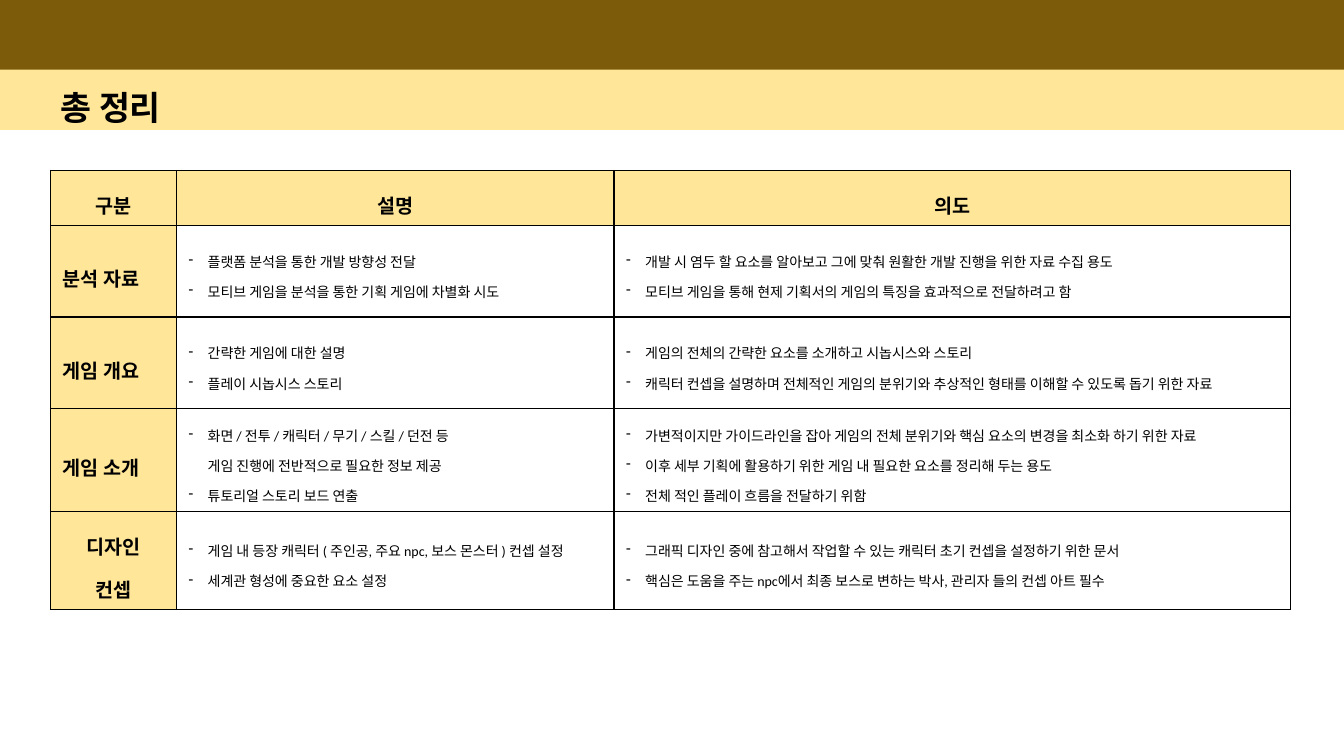
from copy import deepcopy

from pptx import Presentation
from pptx.dml.color import RGBColor
from pptx.enum.shapes import MSO_SHAPE
from pptx.enum.text import MSO_ANCHOR, MSO_AUTO_SIZE, PP_ALIGN
from pptx.oxml import parse_xml
from pptx.oxml.ns import nsdecls, qn
from pptx.util import Inches, Pt

BROWN = RGBColor(0x7C, 0x5B, 0x0A)
CREAM = RGBColor(0xFF, 0xE6, 0x99)
WHITE = RGBColor(0xFF, 0xFF, 0xFF)
BLACK = RGBColor(0x00, 0x00, 0x00)

HEADERS = ["구분", "설명", "의도"]
ROWS = [
    ("분석 자료",
     ["플랫폼 분석을 통한 개발 방향성 전달",
      "모티브 게임을 분석을 통한 기획 게임에 차별화 시도"],
     ["개발 시 염두 할 요소를 알아보고 그에 맞춰 원활한 개발 진행을 위한 자료 수집 용도",
      "모티브 게임을 통해 현제 기획서의 게임의 특징을 효과적으로 전달하려고 함"]),
    ("게임 개요",
     ["간략한 게임에 대한 설명",
      "플레이 시놉시스 스토리"],
     ["게임의 전체의 간략한 요소를 소개하고 시놉시스와 스토리",
      "캐릭터 컨셉을 설명하며 전체적인 게임의 분위기와 추상적인 형태를 이해할 수 있도록 돕기 위한 자료"]),
    ("게임 소개",
     ["화면 / 전투 / 캐릭터 / 무기 / 스킬 / 던전 등\n게임 진행에 전반적으로 필요한 정보 제공",
      "튜토리얼 스토리 보드 연출"],
     ["가변적이지만 가이드라인을 잡아 게임의 전체 분위기와 핵심 요소의 변경을 최소화 하기 위한 자료",
      "이후 세부 기획에 활용하기 위한 게임 내 필요한 요소를 정리해 두는 용도",
      "전체 적인 플레이 흐름을 전달하기 위함"]),
    ("디자인\n컨셉",
     ["게임 내 등장 캐릭터 ( 주인공, 주요 npc, 보스 몬스터 ) 컨셉 설정",
      "세계관 형성에 중요한 요소 설정"],
     ["그래픽 디자인 중에 참고해서 작업할 수 있는 캐릭터 초기 컨셉을 설정하기 위한 문서",
      "핵심은 도움을 주는 npc에서 최종 보스로 변하는 박사, 관리자 들의 컨셉 아트 필수"]),
]


def write(p, text, size, bold, align=PP_ALIGN.LEFT):
    p.text = text
    p.alignment = align
    p.line_spacing = 1.5
    values = {"name": "Calibri", "size": Pt(size), "bold": bold}
    for r in p.runs:
        for name, value in values.items():
            setattr(r.font, name, value)
        r.font.color.rgb = BLACK
    # Line breaks take the size of the text around them
    for br in p._p.findall(qn("a:br")):
        br.append(deepcopy(p.runs[0]._r.rPr))


def style_cell(cell, fill):
    cell.vertical_anchor = MSO_ANCHOR.MIDDLE
    margins = {"left": 0.12, "top": 0.06, "right": 0.12, "bottom": 0.06}
    for side, inset in margins.items():
        setattr(cell, f"margin_{side}", Inches(inset))
    tc_pr = cell._tc.get_or_add_tcPr()
    for side in "LRTB":
        tc_pr.append(parse_xml(
            f'<a:ln{side} {nsdecls("a")} w="{Pt(1)}"><a:solidFill>'
            f'<a:srgbClr val="{BLACK}"/></a:solidFill></a:ln{side}>'))
    cell.fill.solid()
    cell.fill.fore_color.rgb = fill


prs = Presentation()
prs.slide_width, prs.slide_height = Inches(13.33), Inches(7.5)
s = prs.slides.add_slide(prs.slide_layouts[5])
title = s.shapes.title

# Header bands, behind the title
for top, height, color in [(0, 0.71, BROWN), (0.69, 0.6, CREAM)]:
    band = s.shapes.add_shape(MSO_SHAPE.RECTANGLE, 0, Inches(top),
                              prs.slide_width, Inches(height))
    band.shadow.inherit = False
    band.fill.solid()
    band.fill.fore_color.rgb = color
    band.line.fill.background()
    title._element.addprevious(band._element)

# Title
title.left, title.top = Inches(0.5), Inches(0.7)
title.width, title.height = Inches(11.5), Inches(0.52)
tf = title.text_frame
tf.auto_size = MSO_AUTO_SIZE.NONE
tf.vertical_anchor = MSO_ANCHOR.MIDDLE
write(tf.paragraphs[0], "총 정리", 24, True)

# Summary table
table = s.shapes.add_table(len(ROWS) + 1, len(HEADERS), Inches(0.5), Inches(1.69),
                           Inches(12.3), Inches(4.14)).table
for col, width in zip(table.columns, [1.25, 4.34, 6.71]):
    col.width = Inches(width)
for i, row in enumerate(table.rows):
    row.height = Inches(0.91 if i else 0.5)

for c, header in enumerate(HEADERS):
    cell = table.cell(0, c)
    style_cell(cell, CREAM)
    write(cell.text_frame.paragraphs[0], header, 14, True, PP_ALIGN.CENTER)

for i, (label, *columns) in enumerate(ROWS, 1):
    cell = table.cell(i, 0)
    style_cell(cell, CREAM)
    align = PP_ALIGN.CENTER if "\n" in label else PP_ALIGN.LEFT
    write(cell.text_frame.paragraphs[0], label, 14, True, align)

    for c, points in enumerate(columns, 1):
        cell = table.cell(i, c)
        style_cell(cell, WHITE)
        tf = cell.text_frame
        for n, point in enumerate(points):
            p = tf.add_paragraph() if n else tf.paragraphs[0]
            write(p, point, 10, False)
            p_pr = p._p.get_or_add_pPr()
            p_pr.set("marL", str(Inches(0.19)))
            p_pr.set("indent", str(-Inches(0.19)))
            p_pr.append(parse_xml(f'<a:buChar {nsdecls("a")} char="-"/>'))

prs.save("out.pptx")
